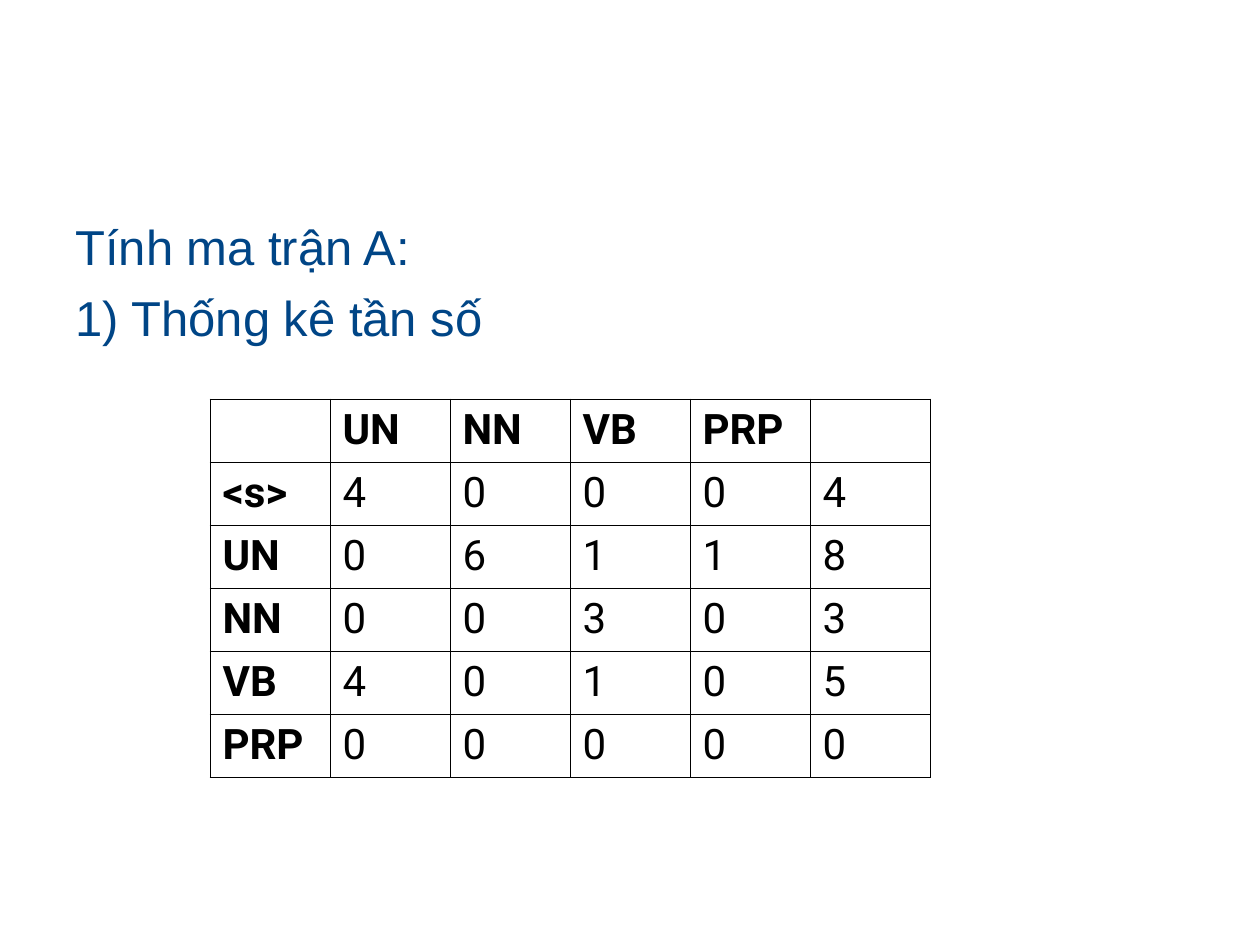
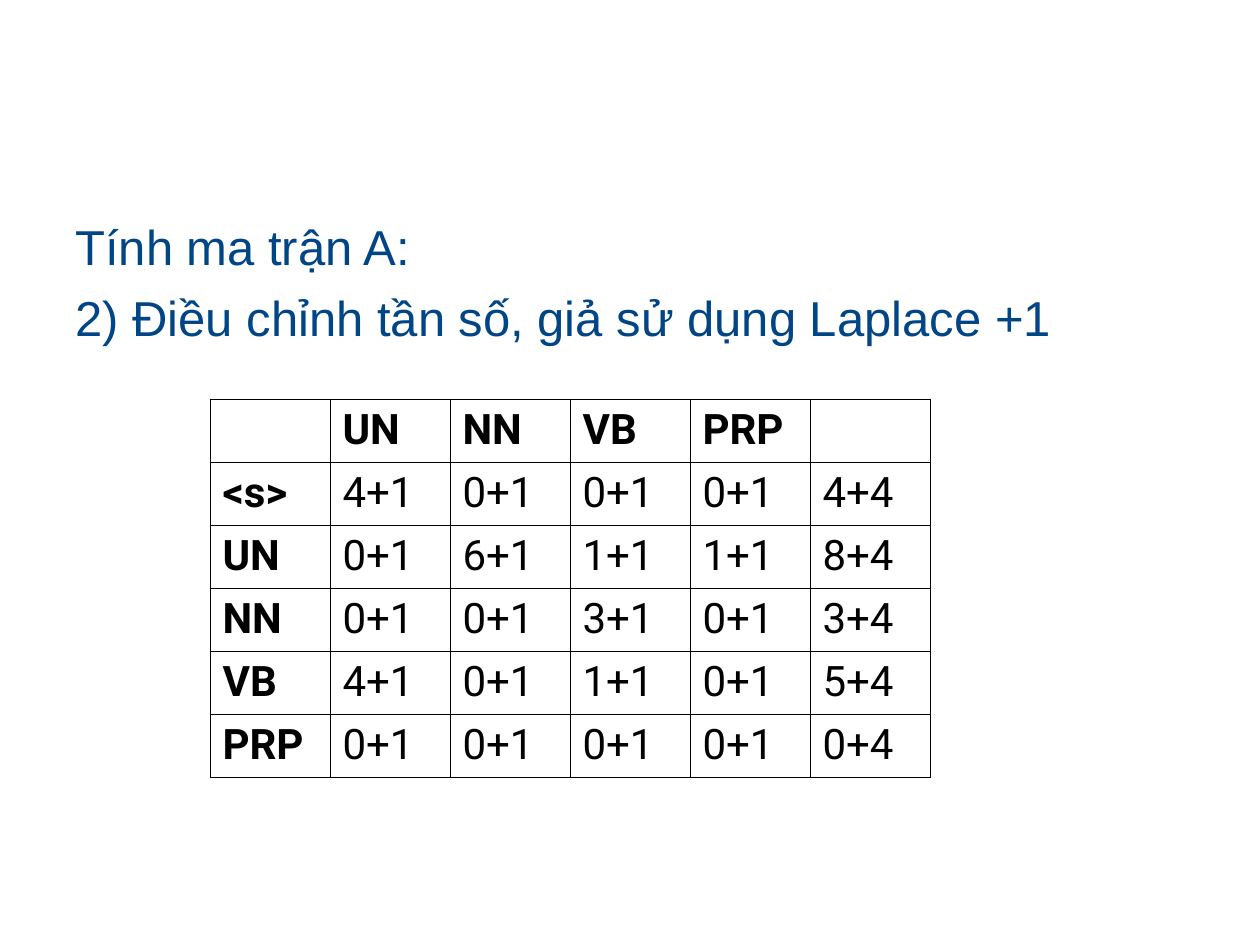
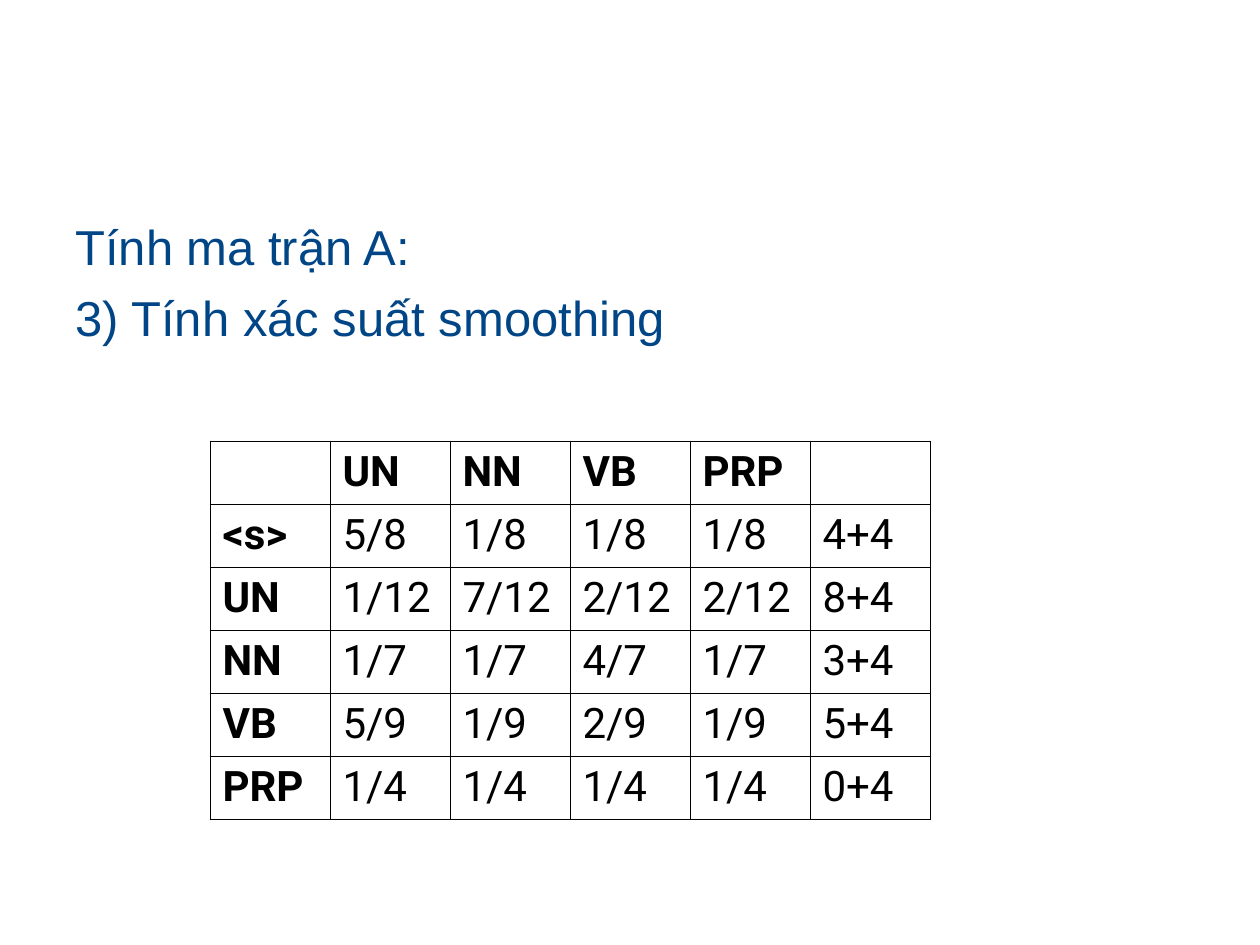
from lxml.etree import SubElement
from pptx import Presentation
from pptx.dml.color import RGBColor as RGB
from pptx.oxml.ns import qn
from pptx.util import Pt

EMU_PER_PX = 914400 / 126
COLORS = {"heading": "004586", "table": "000000"}
HEADING_FONT, TABLE_FONT = "Arial", "Roboto"

TAGS = ["UN", "NN", "VB", "PRP"]
COUNTS = {
    "<s>": [4, 0, 0, 0],
    "UN": [0, 6, 1, 1],
    "NN": [0, 0, 3, 0],
    "VB": [4, 0, 1, 0],
    "PRP": [0, 0, 0, 0],
}
CELL_W, CELL_H = 120, 63


def px(n):
    return round(n * EMU_PER_PX)


def write(p, text, *, font, size, color, bold=False, before=0):
    p.space_before = Pt(before)
    r = p.add_run()
    r.text = text
    r.font.name, r.font.size, r.font.bold = font, Pt(size), bold
    r.font.color.rgb = RGB.from_string(COLORS[color])


def add_heading(s, step):
    tf = s.shapes.add_textbox(px(63), px(210), px(1134), px(662)).text_frame
    tf.word_wrap = True
    style = dict(font=HEADING_FONT, size=28, color="heading")
    write(tf.paragraphs[0], "Tính ma trận A:", **style)
    write(tf.add_paragraph(), step, before=7, **style)


def set_borders(cell, color, width):
    """Draw all four edges; they must precede the fill in the cell's XML."""
    tcPr = cell._tc.get_or_add_tcPr()
    for edge in ("lnL", "lnR", "lnT", "lnB"):
        ln = SubElement(tcPr, qn(f"a:{edge}"), w=str(Pt(width)))
        fill = SubElement(ln, qn("a:solidFill"))
        SubElement(fill, qn("a:srgbClr"), val=COLORS[color])


def add_matrix(s, top, rows):
    """Tag-transition table with bold row and column labels."""
    n_rows, n_cols = len(rows), len(rows[0])
    table = s.shapes.add_table(n_rows, n_cols, px(210), px(top),
                               px(n_cols * CELL_W), px(n_rows * CELL_H)).table
    table.first_row = table.horz_banding = False
    for i, row in enumerate(rows):
        for j, text in enumerate(row):
            cell = table.cell(i, j)
            set_borders(cell, "table", 0.45)
            cell.fill.background()
            if text:
                write(cell.text_frame.paragraphs[0], text, font=TABLE_FONT,
                      size=24, color="table", bold=i == 0 or j == 0)


def matrix_rows(show_count, show_total):
    """Format every count, given with its row total, and the total itself."""
    rows = [["", *TAGS, ""]]
    for tag, counts in COUNTS.items():
        total = sum(counts)
        rows.append([tag, *(show_count(c, total) for c in counts),
                     show_total(total)])
    return rows


def main():
    prs = Presentation()
    prs.slide_width, prs.slide_height = px(1260), px(945)
    n = len(TAGS)

    def smoothed_total(total):
        return f"{total}+{n}"

    steps = [
        ("1) Thống kê tần số", 399, lambda c, total: str(c), str),
        ("2) Điều chỉnh tần số, giả sử dụng Laplace +1", 399,
         lambda c, total: f"{c}+1", smoothed_total),
        ("3) Tính xác suất smoothing", 441,
         lambda c, total: f"{c + 1}/{total + n}", smoothed_total),
    ]
    for step, top, show_count, show_total in steps:
        s = prs.slides.add_slide(prs.slide_layouts[6])
        add_heading(s, step)
        add_matrix(s, top, matrix_rows(show_count, show_total))
    prs.save("out.pptx")


if __name__ == "__main__":
    main()
